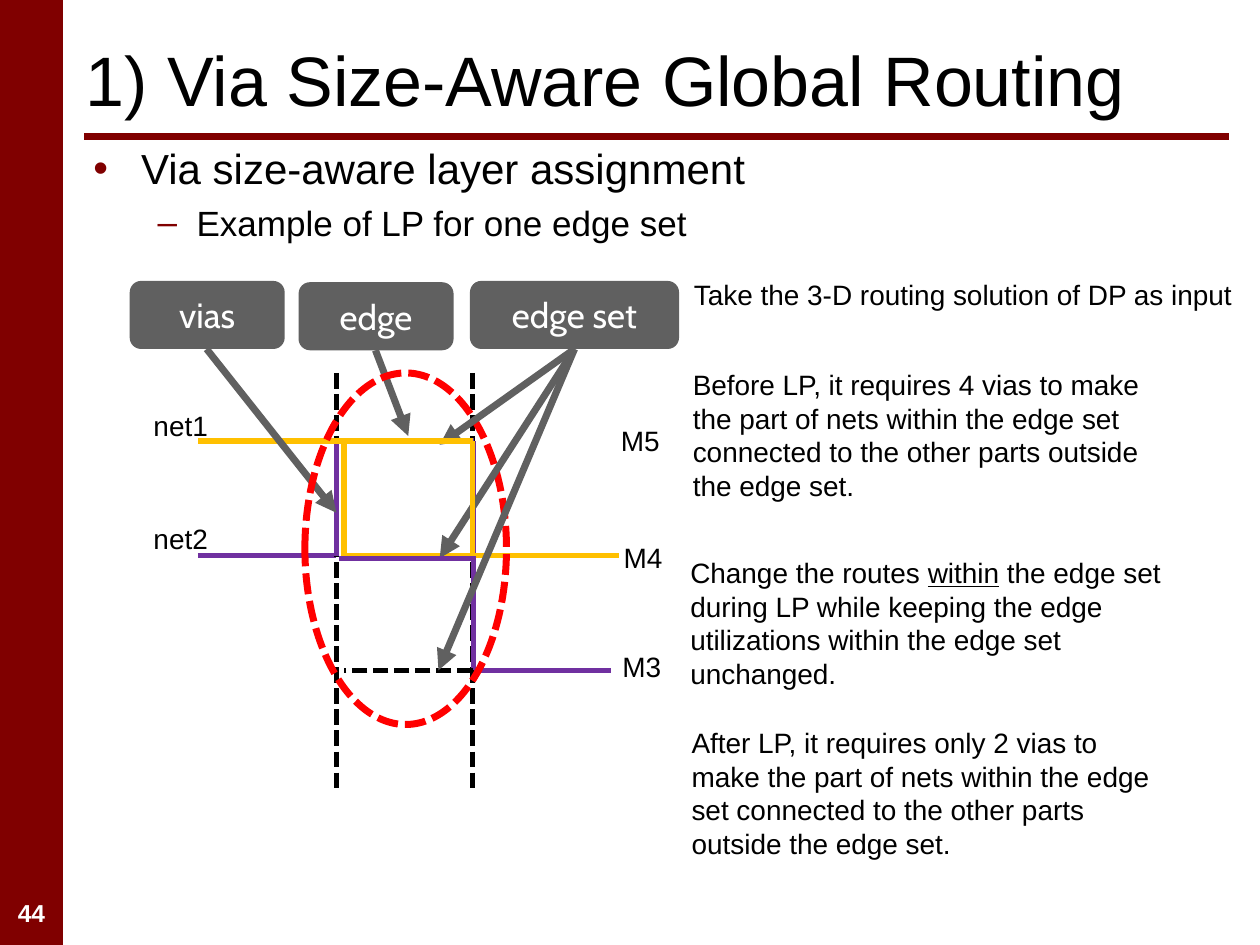
import pptx
import pptx.util
import pptx.dml.color
import pptx.enum.dml
import pptx.enum.shapes
import pptx.enum.text
import pptx.oxml

PX = 9144
MAROON, BLACK, WHITE, GRAY = "800000", "000000", "FFFFFF", "606060"
PURPLE, GOLD, RED = "7030A0", "FFC000", "FF0000"

TITLE = "1) Via Size-Aware Global Routing"
BULLETS = [
    ("Via size-aware layer assignment", 24, "•", 44, -38, 0),
    ("Example of LP for one edge set", 20, "–", 88, -31, 4.8),
]
BACK_LINES = [
    (375, 296, 375, 625, BLACK),
    (376, 532, 485, 532, PURPLE),
    (376, 441, 376, 532, PURPLE),
    (157, 441, 267, 441, PURPLE),
    (267, 296, 267, 625, BLACK),
    (157, 350, 267, 350, GOLD),
    (267, 350, 376, 350, PURPLE),
    (376, 350, 376, 441, PURPLE),
    (267, 350, 267, 441, PURPLE),
    (273, 350, 273, 441, GOLD),
    (273, 441, 382, 441, GOLD),
    (382, 441, 491, 441, GOLD),
]
FRONT_LINES = [
    (375, 350, 375, 441, GOLD),
    (265, 350, 375, 350, GOLD),
    (269, 443, 378, 443, PURPLE),
]
INNER_CALLOUTS = [
    ("vias", 103, 223, 123, [(267, 407)]),
    ("edge", 237, 224, 123, [(324, 346)]),
]
EDGE_SET_CALLOUT = ("edge set", 373, 223, 166, [(349, 353), (349, 443), (348, 532)])
CALLOUT_HEIGHT = 54
LABELS = [
    (["net2"], 112, 409, 97, 37, True),
    (["net1"], 112, 319, 97, 37, True),
    (["M5"], 483, 331, 51, 37, False),
    (["M4"], 485, 424, 51, 37, False),
    (["M3"], 484, 511, 51, 37, False),
    (["Take the 3-D routing solution of DP as input"], 541, 215, 453, 64, False),
    (["Before LP, it requires 4 vias to make the part of nets within the edge set "
      "connected to the other parts outside the edge set."], 540, 287, 401, 118, True),
    (["Change the routes ", "within", " the edge set during LP while keeping the edge "
      "utilizations within the edge set unchanged."], 538, 436, 401, 118, True),
    (["After LP, it requires only 2 vias to make the part of nets within the edge set "
      "connected to the other parts outside the edge set."], 539, 571, 401, 118, True),
]
UNDERLINED = "within"


def rgb(value):
    return pptx.dml.color.RGBColor.from_string(value)


def box(*lengths):
    return [length * PX for length in lengths]


def add_run(paragraph, text, size, color=BLACK, font="Arial", bold=False):
    run = paragraph.add_run()
    run.text = text
    run.font.size = pptx.util.Pt(size)
    run.font.name = font
    run.font.bold = bold
    run.font.color.rgb = rgb(color)
    return run


def add_child(parent, tag, **attributes):
    child = pptx.oxml.parse_xml(f'<a:{tag} {pptx.oxml.ns.nsdecls("a")}/>')
    for name, value in attributes.items():
        child.set(name, value)
    parent.append(child)
    return child


def style_line(line, color, width, dashed=False):
    line.color.rgb = rgb(color)
    line.width = pptx.util.Pt(width)
    if dashed:
        line.dash_style = pptx.enum.dml.MSO_LINE.SQUARE_DOT


def add_line(slide, x1, y1, x2, y2, color, width=3, arrow=False):
    connector = slide.shapes.add_connector(
        pptx.enum.shapes.MSO_CONNECTOR.STRAIGHT, *box(x1, y1, x2, y2))
    style_line(connector.line, color, width, dashed=color == BLACK)
    if arrow:
        add_child(connector.line._get_or_add_ln(), "tailEnd", type="triangle")
    add_child(connector._element.spPr, "effectLst")


def add_shape(slide, kind, area, fill=None):
    shape = slide.shapes.add_shape(kind, *box(*area))
    shape.shadow.inherit = False
    if fill:
        shape.fill.solid()
        shape.fill.fore_color.rgb = rgb(fill)
        shape.line.fill.background()
    else:
        shape.fill.background()
    return shape


def add_callout(slide, text, left, top, width, targets):
    kind = pptx.enum.shapes.MSO_SHAPE.ROUNDED_RECTANGLE
    shape = add_shape(slide, kind, (left, top, width, CALLOUT_HEIGHT), GRAY)
    shape.text_frame.vertical_anchor = pptx.enum.text.MSO_ANCHOR.MIDDLE
    paragraph = shape.text_frame.paragraphs[0]
    paragraph.alignment = pptx.enum.text.PP_ALIGN.CENTER
    add_run(paragraph, text, 20, WHITE, "Cabin")
    for x, y in targets:
        add_line(slide, left + width // 2, top + CALLOUT_HEIGHT, x, y, GRAY, 4, arrow=True)


def add_text_box(slide, area, wrap=True):
    text_box = slide.shapes.add_textbox(*box(*area))
    text_box.text_frame.word_wrap = wrap
    return text_box.text_frame.paragraphs[0]


def place(placeholder, *area):
    placeholder.left, placeholder.top, placeholder.width, placeholder.height = box(*area)
    placeholder.text_frame.auto_size = pptx.enum.text.MSO_AUTO_SIZE.NONE
    return placeholder.text_frame


def fill_title(slide):
    frame = place(slide.shapes.title, 58, 8, 917, 108)
    frame.vertical_anchor = pptx.enum.text.MSO_ANCHOR.MIDDLE
    paragraph = frame.paragraphs[0]
    paragraph.alignment = pptx.enum.text.PP_ALIGN.LEFT
    add_run(paragraph, TITLE, 40)


def fill_body(slide):
    frame = place(slide.placeholders[1], 58, 108, 917, 126)
    for level, (text, size, bullet, margin, indent, space) in enumerate(BULLETS):
        paragraph = frame.add_paragraph() if level else frame.paragraphs[0]
        paragraph.level = level
        paragraph.space_before = pptx.util.Pt(space)
        properties = paragraph._p.get_or_add_pPr()
        properties.set("marL", str(margin * PX))
        properties.set("indent", str(indent * PX))
        add_child(add_child(properties, "buClr"), "srgbClr", val=MAROON)
        add_child(properties, "buFont", typeface="Arial")
        add_child(properties, "buChar", char=bullet)
        add_run(paragraph, text, size)


def main():
    presentation = pptx.Presentation()
    presentation.slide_width, presentation.slide_height = box(1000, 750)
    slide = presentation.slides.add_slide(presentation.slide_layouts[1])

    add_shape(slide, pptx.enum.shapes.MSO_SHAPE.RECTANGLE, (0, 0, 50, 750), MAROON)
    add_line(slide, 67, 108, 975, 108, MAROON, 4)
    number = add_text_box(slide, (0, 708, 50, 33))
    number.alignment = pptx.enum.text.PP_ALIGN.CENTER
    add_run(number, "44", 14, WHITE, bold=True)
    fill_title(slide)
    fill_body(slide)

    for line in BACK_LINES:
        add_line(slide, *line)
    for callout in INNER_CALLOUTS:
        add_callout(slide, *callout)
    add_line(slide, 375, 532, 273, 532, BLACK)
    ellipse = add_shape(slide, pptx.enum.shapes.MSO_SHAPE.OVAL, (242, 296, 160, 279))
    style_line(ellipse.line, RED, 4, dashed=True)
    add_callout(slide, *EDGE_SET_CALLOUT)
    for line in FRONT_LINES:
        add_line(slide, *line)

    for parts, left, top, width, height, wrap in LABELS:
        paragraph = add_text_box(slide, (left, top, width, height), wrap)
        for part in parts:
            run = add_run(paragraph, part, 16)
            if part == UNDERLINED:
                run.font.underline = True

    presentation.save("out.pptx")


if __name__ == "__main__":
    main()
